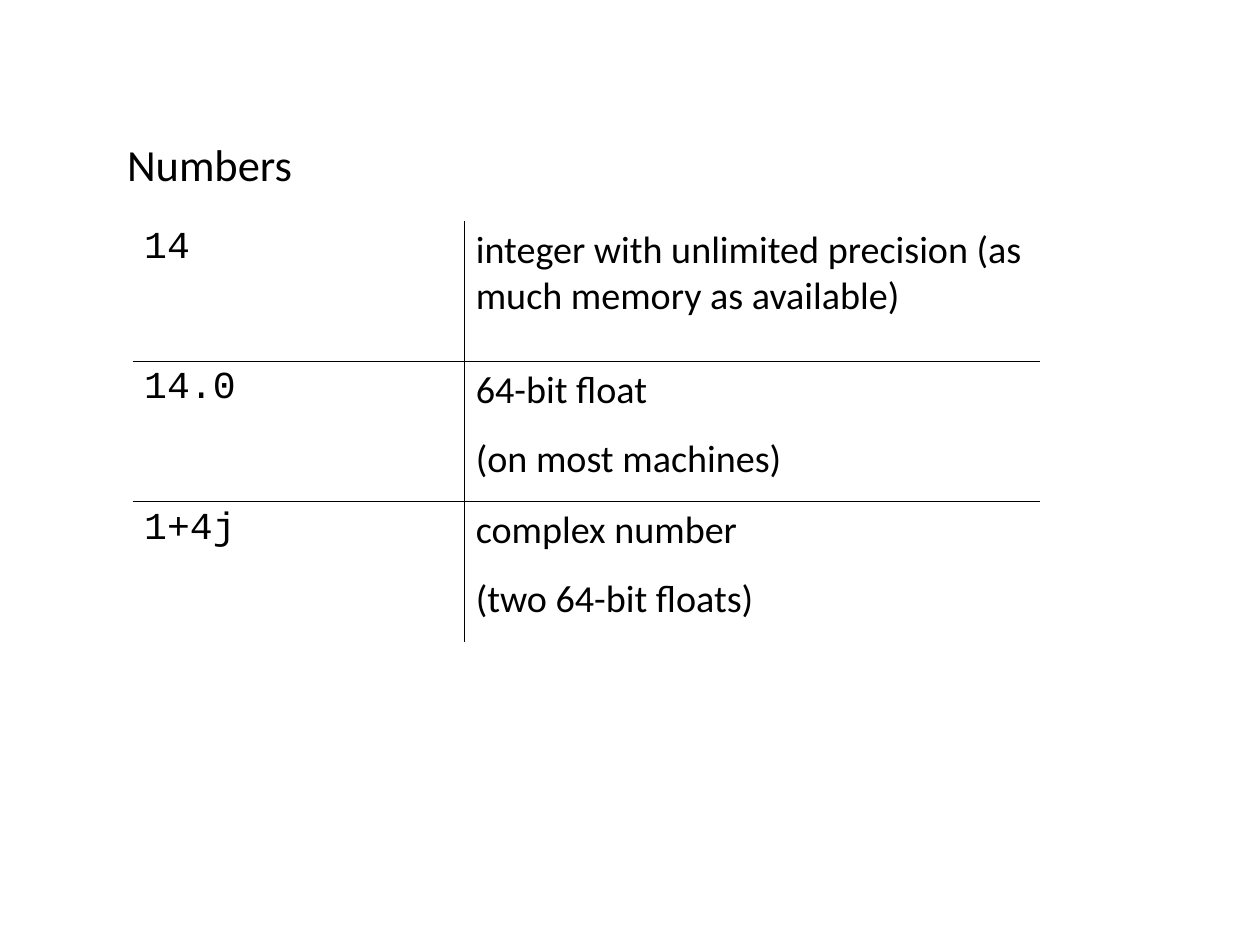
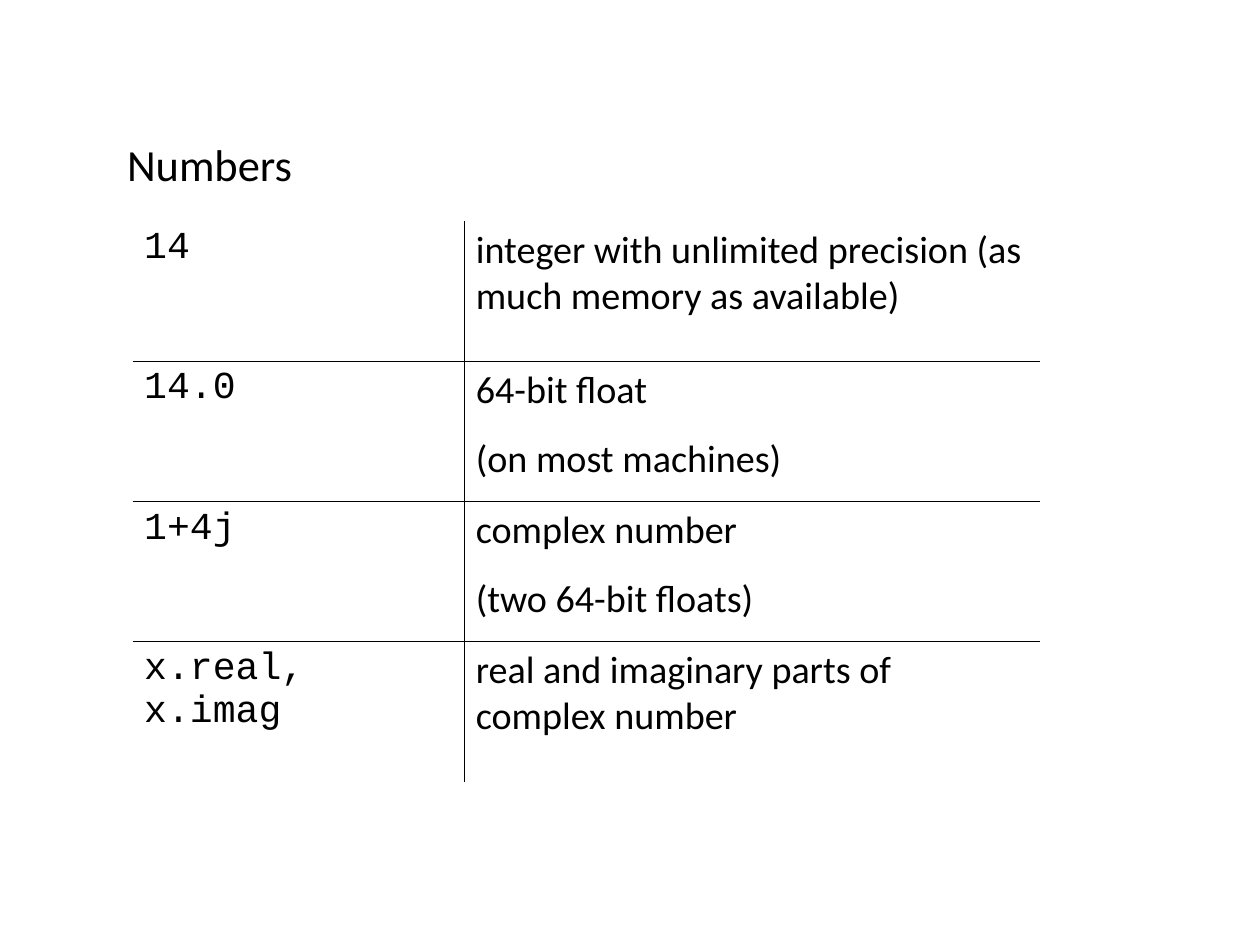
from dataclasses import dataclass

from lxml import etree
from pptx import Presentation
from pptx import util as u
from pptx.dml.color import RGBColor
from pptx.enum import text
from pptx.oxml import ns

TITLE = "Numbers"
NUMBERS = [
    ("14", ["integer with unlimited precision (as much memory as available)"]),
    ("14.0", ["64-bit float", "(on most machines)"]),
    ("1+4j", ["complex number", "(two 64-bit floats)"]),
]
COMPLEX_PARTS = [("x.real, x.imag", ["real and imaginary parts of complex number"])]
SLIDES = [NUMBERS, NUMBERS + COMPLEX_PARTS]

# Lengths in centimetres
SLIDE_SIZE = (28, 21)
TITLE_BOX = (2.57, 2.33, 4.22, 1.85)
TABLE_LEFT, TABLE_TOP = 2.95, 4.92
COLUMNS = (7.37, 12.8)
ROW_HEIGHT = 12.45 / 4


@dataclass(frozen=True)
class Theme:
    ink: str = "000000"
    body_font: str = "Calibri"
    code_font: str = "Courier New"
    title_size: int = 28
    cell_size: int = 24
    space_after: int = 14
    rule: int = 1


THEME = Theme()


def set_font(p, name, size):
    for key, value in {"name": name, "size": u.Pt(size), "bold": False}.items():
        setattr(p.font, key, value)
    p.font.color.rgb = RGBColor.from_string(THEME.ink)


def add_title(slide):
    sp = slide.shapes.title
    for key, value in zip(("left", "top", "width", "height"), TITLE_BOX):
        setattr(sp, key, u.Cm(value))
    tf = sp.text_frame
    tf.text = TITLE
    frame = {"word_wrap": False, "auto_size": text.MSO_AUTO_SIZE.SHAPE_TO_FIT_TEXT,
             "vertical_anchor": text.MSO_ANCHOR.TOP}
    for key, value in frame.items():
        setattr(tf, key, value)
    p = tf.paragraphs[0]
    p.alignment = text.PP_ALIGN.LEFT
    p.line_spacing = 1.5
    set_font(p, THEME.body_font, THEME.title_size)


def set_borders(cell, inner):
    """Rule the sides that face another cell and clear the outer ones."""
    tc_pr = cell._tc.get_or_add_tcPr()
    for side in "LRTB":
        ln = etree.SubElement(tc_pr, ns.qn(f"a:ln{side}"), w=str(int(u.Pt(THEME.rule))))
        if side in inner:
            fill = etree.SubElement(ln, ns.qn("a:solidFill"))
            etree.SubElement(fill, ns.qn("a:srgbClr"), val=THEME.ink)
        else:
            etree.SubElement(ln, ns.qn("a:noFill"))


def fill_cell(cell, lines, font, inner):
    set_borders(cell, inner)
    cell.fill.background()
    cell.text = "\n".join(lines)
    for p in cell.text_frame.paragraphs:
        p.space_after = u.Pt(THEME.space_after)
        set_font(p, font, THEME.cell_size)


def add_number_table(slide, rows):
    box = (TABLE_LEFT, TABLE_TOP, sum(COLUMNS), ROW_HEIGHT * len(rows))
    table = slide.shapes.add_table(len(rows), len(COLUMNS), *map(u.Cm, box)).table
    table.first_row = table.horz_banding = False
    for column, width in zip(table.columns, COLUMNS):
        column.width = u.Cm(width)
    for i, (code, meaning) in enumerate(rows):
        inner = ("T" if i else "") + ("B" if i < len(rows) - 1 else "")
        fill_cell(table.cell(i, 0), [code], THEME.code_font, inner + "R")
        fill_cell(table.cell(i, 1), meaning, THEME.body_font, inner + "L")


def main():
    prs = Presentation()
    prs.slide_width, prs.slide_height = map(u.Cm, SLIDE_SIZE)
    title_only = prs.slide_layouts[5]
    for rows in SLIDES:
        slide = prs.slides.add_slide(title_only)
        add_title(slide)
        add_number_table(slide, rows)
    prs.save("out.pptx")


if __name__ == "__main__":
    main()
